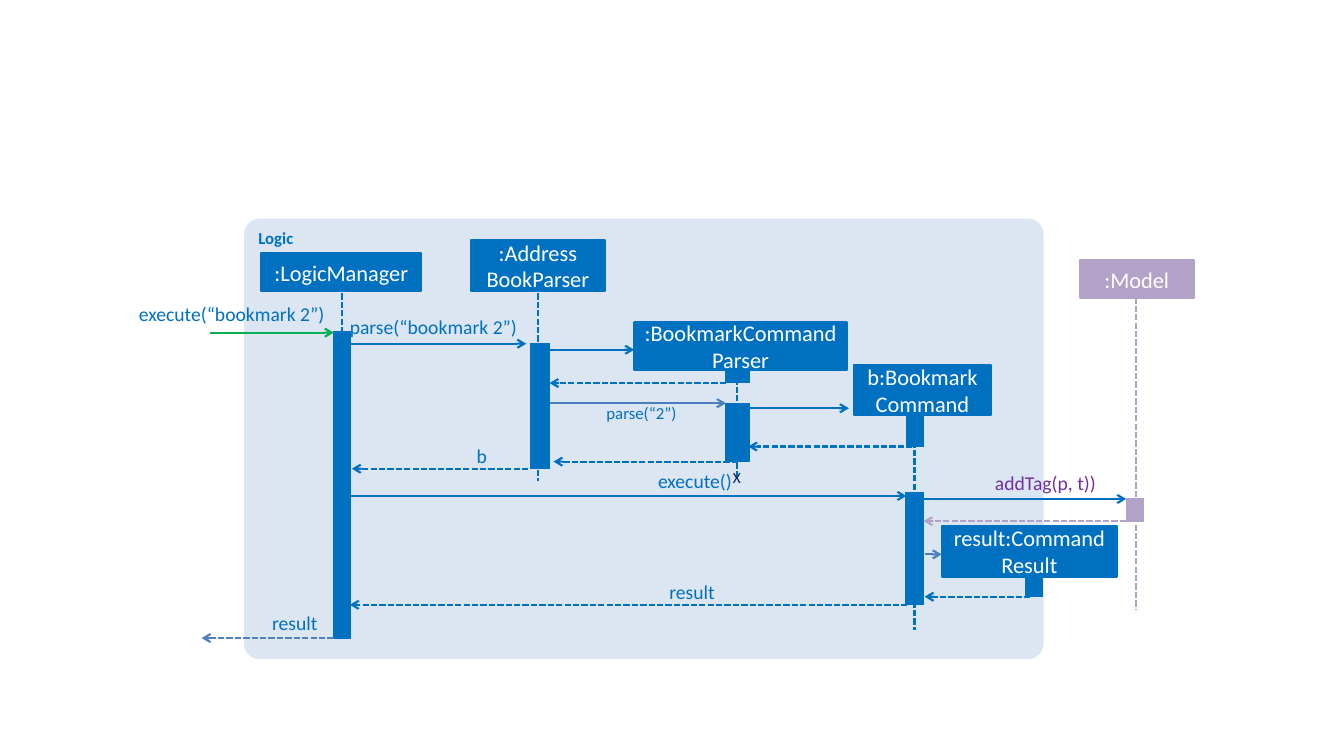
from dataclasses import dataclass

from pptx import Presentation
from pptx.dml.color import RGBColor
from pptx.enum.dml import MSO_LINE_DASH_STYLE as Dash
from pptx.enum.shapes import MSO_CONNECTOR as Connector
from pptx.enum.shapes import MSO_SHAPE as Preset
from pptx.enum.text import MSO_ANCHOR as Anchor
from pptx.enum.text import MSO_AUTO_SIZE as AutoSize
from pptx.enum.text import PP_ALIGN as Align
from pptx.oxml.ns import qn
from pptx.util import Inches, Pt
from lxml.etree import SubElement

COLORS = {
    "logic": "0070C0", "panel": "DCE6F2", "model": "B3A2C7", "caller": "00B050",
    "call": "4B7EBC", "reply": "4F81BD", "tag": "7030A0", "end": "002060", "white": "FFFFFF",
}
MARGINS = ("margin_left", "margin_top", "margin_right", "margin_bottom")


@dataclass
class Participant:
    text: str
    left: float
    top: float
    width: float
    height: float
    color: str = "logic"


@dataclass
class Lifeline:
    x: float
    top: float
    bottom: float
    color: str = "logic"


@dataclass
class Activation:
    left: float
    top: float
    width: float
    height: float
    color: str = "logic"


@dataclass
class Message:
    start: float
    end: float
    y: float
    color: str = "logic"
    dashed: bool = False


@dataclass
class Label:
    text: str
    left: float
    top: float
    width: float
    height: float = 0.24
    size: int = 14
    color: str = "logic"


PARTICIPANTS = [
    Participant(":LogicManager", 2.59, 2.51, 1.59, 0.38),
    Participant(":Address\nBookParser", 4.67, 2.38, 1.33, 0.51),
    Participant(":BookmarkCommand\nParser", 6.29, 3.2, 2.11, 0.47),
    Participant("b:Bookmark\vCommand", 8.47, 3.62, 1.36, 0.5),
    Participant("result:Command Result", 9.34, 5.22, 1.74, 0.5),
    Participant(":Model", 10.71, 2.58, 1.13, 0.38, "model"),
]
LIFELINES = [
    Lifeline(3.39, 2.91, 5.75),
    Lifeline(5.34, 2.91, 4.77),
    Lifeline(7.31, 3.67, 4.75),
    Lifeline(9.07, 4.13, 6.25),
    Lifeline(11.27, 2.95, 6.05, "model"),
]
ACTIVATIONS = [
    Activation(3.31, 3.29, 0.17, 3.04),
    Activation(5.26, 3.41, 0.19, 1.24),
    Activation(7.2, 3.67, 0.23, 0.13),
    Activation(7.2, 4, 0.23, 0.58),
    Activation(8.99, 4.13, 0.17, 0.3),
    Activation(8.98, 4.89, 0.18, 1.11),
    Activation(10.17, 5.73, 0.17, 0.19),
    Activation(11.17, 4.95, 0.17, 0.22, "model"),
]
MESSAGES = [
    Message(2.08, 3.31, 3.3, "caller"),
    Message(3.47, 5.22, 3.41),
    Message(5.4, 6.29, 3.47),
    Message(7.2, 5.45, 3.8, dashed=True),
    Message(5.45, 7.2, 4, "call"),
    Message(7.42, 8.42, 4.05),
    Message(9.05, 7.42, 4.43, dashed=True),
    Message(7.32, 5.49, 4.58, dashed=True),
    Message(5.24, 3.49, 4.65, dashed=True),
    Message(3.47, 8.99, 4.92),
    Message(9.16, 11.17, 4.95),
    Message(11.17, 9.16, 5.17, "model", True),
    Message(9.17, 9.34, 5.5, "call"),
    Message(10.22, 9.17, 5.92, dashed=True),
    Message(9, 3.47, 6, dashed=True),
    Message(3.31, 2, 6.33, "reply", True),
]
LABELS = [
    Label("execute(“bookmark 2”)", 1.16, 3, 2.06),
    Label("parse(“bookmark 2”)", 3.46, 3.12, 1.67),
    Label("parse(“2”)", 5.87, 4, 0.84, 0.2, 12),
    Label("b", 4.59, 4.4, 0.24),
    Label("execute()", 6.32, 4.65, 0.94),
    Label("addTag(p, t))", 9.31, 4.67, 1.56, color="tag"),
    Label("result", 6.41, 5.75, 0.68),
    Label("result", 2.32, 6.06, 0.83),
]


def rgb(name: str) -> RGBColor:
    return RGBColor.from_string(COLORS[name])


def write(box, text: str, size: int, color: str, align=Align.LEFT, bold=False, **frame_format):
    """Fill a text frame and format its paragraphs."""
    frame = box.text_frame
    for name, value in {"word_wrap": True, **frame_format}.items():
        setattr(frame, name, value)
    frame.text = text
    font_format = {"name": "Calibri", "size": Pt(size), "bold": bold}
    for para in frame.paragraphs:
        para.alignment = align
        for span in para.runs:
            for name, value in font_format.items():
                setattr(span.font, name, value)
            span.font.color.rgb = rgb(color)


def add_box(page, preset, left: float, top: float, width: float, height: float,
            color: str, line_width: float = 0):
    box = page.shapes.add_shape(preset, *map(Inches, (left, top, width, height)))
    box.shadow.inherit = False
    box.fill.solid()
    box.fill.fore_color.rgb = rgb(color)
    if line_width:
        box.line.color.rgb = rgb(color)
        box.line.width = Pt(line_width)
    else:
        box.line.fill.background()
    return box


def add_line(page, start: tuple, end: tuple, color: str, dashed: bool, arrow: bool):
    line = page.shapes.add_connector(Connector.STRAIGHT, *map(Inches, start + end))
    line.line.color.rgb = rgb(color)
    line.line.width = Pt(1.5)
    if dashed:
        line.line.dash_style = Dash.SQUARE_DOT
    if arrow:
        SubElement(line.line._get_or_add_ln(), qn("a:tailEnd"), type="arrow")
    SubElement(line._element.spPr, qn("a:effectLst"))


def add_label(page, label: Label):
    box = page.shapes.add_textbox(*map(Inches, (label.left, label.top, label.width, label.height)))
    write(box, label.text, label.size, label.color, Align.RIGHT,
          auto_size=AutoSize.SHAPE_TO_FIT_TEXT, **dict.fromkeys(MARGINS, 0))


def main():
    deck = Presentation()
    deck.slide_width, deck.slide_height = Inches(13.33), Inches(7.5)
    page = deck.slides.add_slide(deck.slide_layouts[6])

    # Logic component panel
    panel = add_box(page, Preset.ROUNDED_RECTANGLE, 2.42, 2.17, 7.93, 4.37, "panel")
    panel.adjustments[0] = 0.035
    write(panel, "Logic", 12, "logic", bold=True, vertical_anchor=Anchor.TOP)

    # Lifelines, activation bars and participants
    for life in LIFELINES:
        add_line(page, (life.x, life.top), (life.x, life.bottom), life.color, True, False)
    for bar in ACTIVATIONS:
        add_box(page, Preset.RECTANGLE, bar.left, bar.top, bar.width, bar.height, bar.color, 0.75)
    for part in PARTICIPANTS:
        box = add_box(page, Preset.RECTANGLE, part.left, part.top, part.width, part.height,
                      part.color, 1.5)
        write(box, part.text, 16, "white", Align.CENTER, vertical_anchor=Anchor.MIDDLE)

    # Messages and their labels
    for message in MESSAGES:
        add_line(page, (message.start, message.y), (message.end, message.y),
                 message.color, message.dashed, True)
    for label in LABELS:
        add_label(page, label)

    # End of the parser's lifeline
    cross = page.shapes.add_textbox(*map(Inches, (7.17, 4.59, 0.28, 0.29)))
    write(cross, "X", 11, "end", word_wrap=False, auto_size=AutoSize.SHAPE_TO_FIT_TEXT)

    deck.save("out.pptx")


if __name__ == "__main__":
    main()
